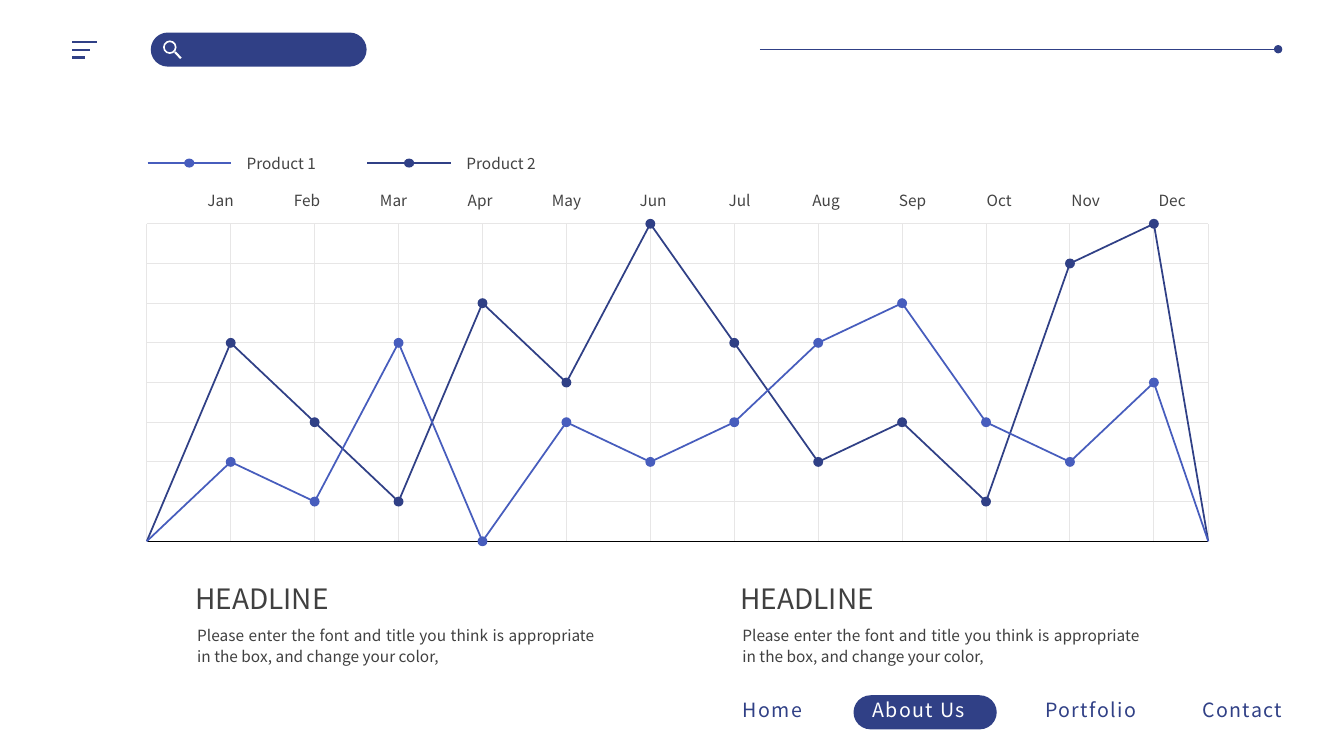
from lxml import etree
from pptx import Presentation
from pptx.dml.color import RGBColor
from pptx.enum.shapes import MSO_CONNECTOR, MSO_SHAPE
from pptx.enum.text import MSO_ANCHOR, MSO_AUTO_SIZE, PP_ALIGN
from pptx.oxml.ns import qn
from pptx.util import Cm, Pt

LINE = MSO_CONNECTOR.STRAIGHT
PILL, OVAL, DONUT = MSO_SHAPE.ROUNDED_RECTANGLE, MSO_SHAPE.OVAL, MSO_SHAPE.DONUT
MID, GROW = MSO_ANCHOR.MIDDLE, MSO_AUTO_SIZE.SHAPE_TO_FIT_TEXT
LEFT, CENTER, JUST = PP_ALIGN.LEFT, PP_ALIGN.CENTER, PP_ALIGN.JUSTIFY

NAVY, BLUE, WHITE, BLACK = "304086", "475DBD", "FFFFFF", "000000"
GRID, GREY, TEXT = "E7E6E6", "434343", "404040"

MONTHS = "Jan Feb Mar Apr May Jun Jul Aug Sep Oct Nov Dec".split()
SERIES = [
    ("Product 2", NAVY, [5, 3, 1, 6, 4, 8, 5, 2, 3, 1, 7, 8]),
    ("Product 1", BLUE, [2, 1, 5, 0, 3, 2, 3, 5, 6, 3, 2, 4]),
]
NAV = [("Home", 18.47, 2.11), ("About Us", 21.74, 3.23),
       ("Portfolio", 26.09, 2.9), ("Contact", 30.05, 2.79)]
BODY = ("Please enter the font and title you think is appropriate "
        "in the box, and change your color,")

X0, X12, X1 = 3.7, 29.08, 30.45
BASE, ROWS, ROW = 13.64, 8, 1
COL = (X12 - X0) / len(MONTHS)
TOP = BASE - ROWS * ROW


def color(code):
    return RGBColor.from_string(code)


class Deck:
    font = "Noto Sans CJK SC"

    def __init__(self, slide):
        self.slide = slide
        self.top()

    def top(self):
        self.items = self.slide.shapes

    def group(self):
        self.items = self.slide.shapes.add_group_shape().shapes

    def shape(self, kind, x, y, w, h, fill, adj=None, edge=False):
        item = self.items.add_shape(kind, Cm(x), Cm(y), Cm(w), Cm(h))
        item.shadow.inherit = False
        item.fill.solid()
        item.fill.fore_color.rgb = color(fill)
        if edge:
            item.line.color.rgb = color(fill)
            item.line.width = Pt(0.75)
        else:
            item.line.fill.background()
        if adj is not None:
            item.adjustments[0] = adj
        return item

    def dot(self, x, y, w, h, fill, edge=False):
        return self.shape(OVAL, x - w / 2, y - h / 2, w, h, fill, edge=edge)

    def line(self, x1, y1, x2, y2, tint, width, tail=None):
        item = self.items.add_connector(LINE, Cm(x1), Cm(y1), Cm(x2), Cm(y2))
        item.line.color.rgb = color(tint)
        item.line.width = Pt(width)
        if tail:
            ln = item.line._get_or_add_ln()
            etree.SubElement(ln, qn("a:tailEnd")).set("type", tail)
        etree.SubElement(item._element.spPr, qn("a:effectLst"))
        return item

    def path_line(self, points, tint, width):
        spots = [(Cm(x), Cm(y)) for x, y in points]
        form = self.items.build_freeform(*spots[0])
        form.add_line_segments(spots[1:], close=False)
        item = form.convert_to_shape()
        item.shadow.inherit = False
        item.fill.background()
        item.line.color.rgb = color(tint)
        item.line.width = Pt(width)
        return item

    def text(self, words, x, y, w, h, size, tint, align=LEFT,
             wrap=True, grow=True, space=None, gap=None):
        item = self.items.add_textbox(Cm(x), Cm(y), Cm(w), Cm(h))
        frame = item.text_frame
        frame.word_wrap = wrap
        if grow:
            frame.auto_size = GROW
        para = frame.paragraphs[0]
        para.alignment = align
        if space:
            para.line_spacing = Pt(space)
        run = para.add_run()
        run.text = words
        run.font.name = self.font
        run.font.size = Pt(size)
        run.font.color.rgb = color(tint)
        if gap:
            run._r.get_or_add_rPr().set("spc", str(gap))
        return item

    def label(self, words, x, y, w, h):
        item = self.text(words, x, y, w, h, 11, GREY, CENTER, grow=False)
        frame = item.text_frame
        frame.vertical_anchor = MID
        frame.margin_left = frame.margin_right = Cm(0.33)
        frame.margin_top = frame.margin_bottom = Cm(0.33)
        return item


def header(deck):
    deck.group()
    deck.shape(PILL, 3.8, 0.82, 5.44, 0.86, NAVY, 0.5)
    deck.shape(DONUT, 4.11, 1.02, 0.34, 0.34, WHITE, 0.125)
    deck.line(4.41, 1.31, 4.56, 1.47, WHITE, 1.5)
    for i, end in enumerate([2.45, 2.26, 2.14]):
        y = 1.05 + i * 0.2
        deck.line(1.82, y, end, y, NAVY, 1.5)
    deck.top()
    deck.line(19.15, 1.24, 32.21, 1.24, NAVY, 0.5, "oval")


def menu(deck):
    for name, x, w in NAV:
        here = name == "About Us"
        if here:
            deck.group()
            deck.shape(PILL, 21.51, 17.52, 3.61, 0.86, NAVY, 0.5)
        deck.text(name, x, 17.45, w, 0.86, 14, WHITE if here else NAVY,
                  wrap=False, gap=100)
        deck.top()


def chart(deck):
    deck.group()
    cols = [X0 + i * COL for i in range(len(MONTHS) + 1)]
    for x in cols + [X1]:
        deck.line(x, TOP, x, BASE, GRID, 0.75)
    for i in range(ROWS + 1):
        y = TOP + i * ROW
        deck.line(X0, y, X1, y, BLACK if i == ROWS else GRID, 0.75)
    for name, tint, values in SERIES:
        points = [(x, BASE - v * ROW) for x, v in zip(cols[1:], values)]
        deck.path_line([(X0, BASE)] + points + [(X1, BASE)], tint, 1.25)
        for x, y in points:
            deck.dot(x, y, 0.25, 0.25, tint)

    deck.group()
    for i, month in enumerate(MONTHS):
        deck.label(month, 4.57 + i * 2.18, 4.67, 1.98, 0.74)

    deck.group()
    for i, (name, tint, values) in enumerate(reversed(SERIES)):
        x, y = 3.72 + i * 5.54, 4.11
        key = deck.line(x, y, x + 2.1, y, tint, 1.5)
        tag = deck.label(name, x + 2.1, y - 0.29, 2.54, 0.58)
        key.end_connect(tag, 1)
        deck.dot(x + 1.05, y, 0.23, 0.2, tint, edge=True)
    deck.top()


def notes(deck):
    for x in (4.67, 18.41):
        deck.text(BODY, x + 0.05, 15.58, 10.52, 1.3, 11, TEXT, JUST, space=15)
        deck.text("HEADLINE", x, 14.53, 5.61, 1.12, 20, TEXT, JUST)


def main():
    show = Presentation()
    show.slide_width, show.slide_height = Cm(33.87), Cm(19.05)
    deck = Deck(show.slides.add_slide(show.slide_layouts[6]))
    header(deck)
    menu(deck)
    chart(deck)
    notes(deck)
    show.save("out.pptx")


if __name__ == "__main__":
    main()
